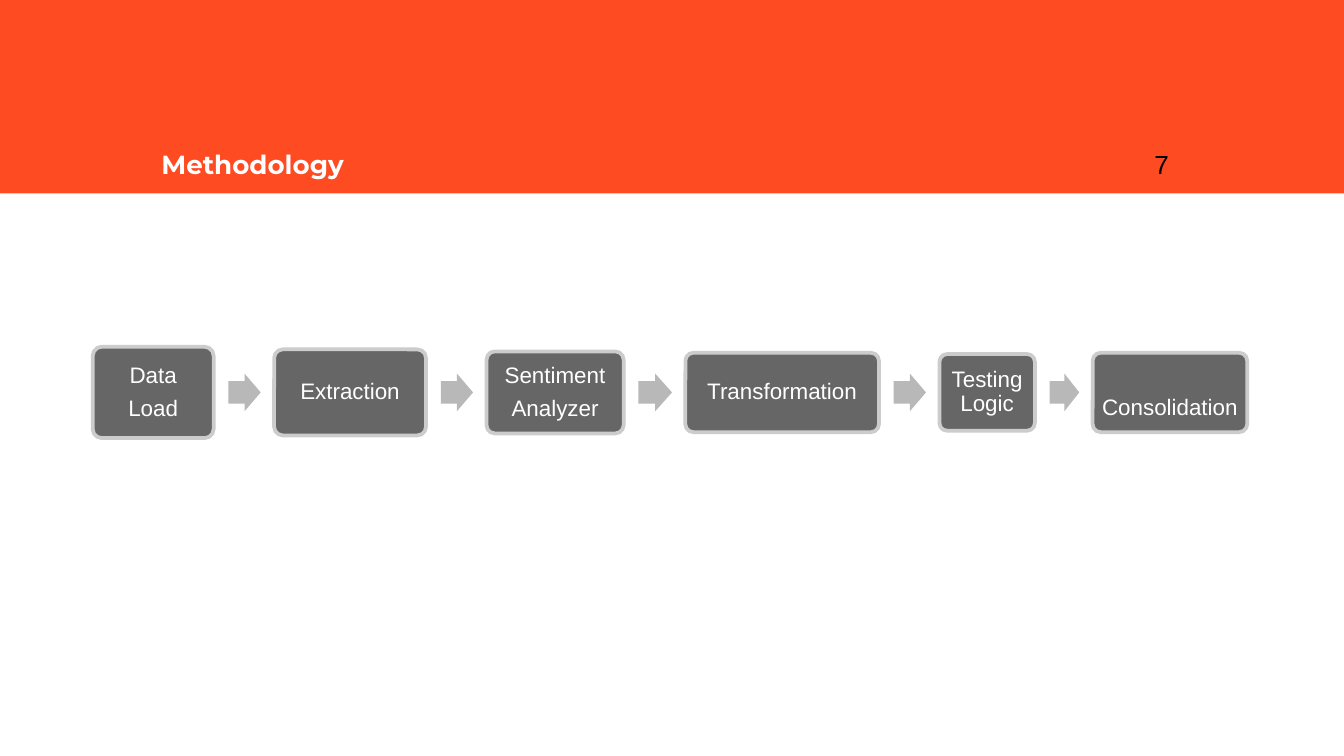
from pptx import Presentation
from pptx.dml.color import RGBColor
from pptx.enum.shapes import MSO_SHAPE as Shape
from pptx.enum.text import MSO_ANCHOR as Anchor, MSO_AUTO_SIZE as AutoSize, PP_ALIGN as Align
from pptx.util import Inches, Pt

ORANGE = RGBColor(0xFF, 0x4B, 0x21)
WHITE = RGBColor(0xFF, 0xFF, 0xFF)
BLACK = RGBColor(0x00, 0x00, 0x00)
DARK_GRAY = RGBColor(0x66, 0x66, 0x66)
LIGHT_GRAY = RGBColor(0xCC, 0xCC, 0xCC)
ARROW_GRAY = RGBColor(0xB8, 0xB8, 0xB8)

SLIDE_WIDTH = Inches(10)
SLIDE_HEIGHT = SLIDE_WIDTH * 9 // 16
HEADER_TOP, HEADER_HEIGHT = 0.71, 0.73
FLOW_CENTER = 2.92
ARROW_HEIGHT = 0.28
ARROW_GAP = 0.11

# Step lines, left, width, height, top inset
STEPS = [
    (["Data", "Load"], 0.69, 0.9, 0.68, 0.05),
    (["Extraction"], 2.04, 1.13, 0.64, 0.05),
    (["Sentiment", "Analyzer"], 3.62, 1.02, 0.61, 0.05),
    (["Transformation"], 5.1, 1.44, 0.59, 0.05),
    (["Testing Logic"], 6.99, 0.71, 0.57, 0.05),
    (["Consolidation"], 8.13, 1.15, 0.59, 0.29),
]


class SlideBuilder:
    def __init__(self, slide):
        self.slide = slide
        self.shapes = slide.shapes

    def add_run(self, paragraph, text, size, color, font="Arial", bold=False):
        run = paragraph.add_run()
        run.text = text
        run.font.name = font
        run.font.size = Pt(size)
        run.font.bold = bold
        run.font.color.rgb = color

    def set_frame(self, frame, anchor, inset, top_inset=None):
        frame.word_wrap = True
        frame.auto_size = AutoSize.NONE
        frame.vertical_anchor = anchor
        frame.margin_left = frame.margin_right = frame.margin_bottom = Inches(inset)
        frame.margin_top = Inches(inset if top_inset is None else top_inset)

    def shape(self, kind, left, top, width, height, fill):
        shape = self.shapes.add_shape(
            kind, Inches(left), Inches(top), Inches(width), Inches(height))
        shape.shadow.inherit = False
        shape.fill.solid()
        shape.fill.fore_color.rgb = fill
        shape.line.fill.background()
        return shape

    def banner(self):
        banner = self.shape(Shape.RECTANGLE, 0, 0, 10, 1.44, ORANGE)
        self.shapes._spTree.insert(2, banner._element)  # behind the title

    def title(self, text):
        title = self.shapes.title
        title.left, title.top = Inches(1.1), Inches(HEADER_TOP)
        title.width, title.height = Inches(7.8), Inches(HEADER_HEIGHT)
        self.set_frame(title.text_frame, Anchor.BOTTOM, 0.1)
        heading = title.text_frame.paragraphs[0]
        heading.alignment = Align.LEFT
        self.add_run(heading, text, 14, WHITE, "Montserrat", True)

    def page_number(self, number):
        box = self.shapes.add_textbox(
            Inches(8.49), Inches(HEADER_TOP), Inches(0.6), Inches(HEADER_HEIGHT))
        self.set_frame(box.text_frame, Anchor.BOTTOM, 0.1)
        self.add_run(box.text_frame.paragraphs[0], number, 14, BLACK)

    def step(self, lines, left, width, height, top_inset):
        step = self.shape(Shape.ROUNDED_RECTANGLE, left, FLOW_CENTER - height / 2,
                          width, height, DARK_GRAY)
        step.adjustments[0] = 0.1
        step.line.color.rgb = LIGHT_GRAY
        step.line.width = Pt(2)
        frame = step.text_frame
        self.set_frame(frame, Anchor.MIDDLE, 0.05, top_inset)
        for index, line in enumerate(lines):
            paragraph = frame.add_paragraph() if index else frame.paragraphs[0]
            paragraph.alignment = Align.CENTER
            paragraph.line_spacing = 0.9
            if index:
                paragraph.space_before = Pt(4.7)
            self.add_run(paragraph, line, 12, WHITE)

    def arrow(self, start, end):
        width = end - start - 0.21
        arrow = self.shape(Shape.RIGHT_ARROW, start + ARROW_GAP,
                           FLOW_CENTER - ARROW_HEIGHT / 2, width, ARROW_HEIGHT, ARROW_GRAY)
        arrow.adjustments[0] = 0.6
        arrow.adjustments[1] = 0.5


def main():
    deck = Presentation()
    deck.slide_width, deck.slide_height = SLIDE_WIDTH, SLIDE_HEIGHT
    builder = SlideBuilder(deck.slides.add_slide(deck.slide_layouts[5]))

    # Header
    builder.banner()
    builder.title("Methodology")
    builder.page_number("7")

    # Process flow, with an arrow in each gap between steps
    previous_end = None
    for lines, left, width, height, top_inset in STEPS:
        if previous_end is not None:
            builder.arrow(previous_end, left)
        builder.step(lines, left, width, height, top_inset)
        previous_end = left + width

    deck.save("out.pptx")


if __name__ == "__main__":
    main()
